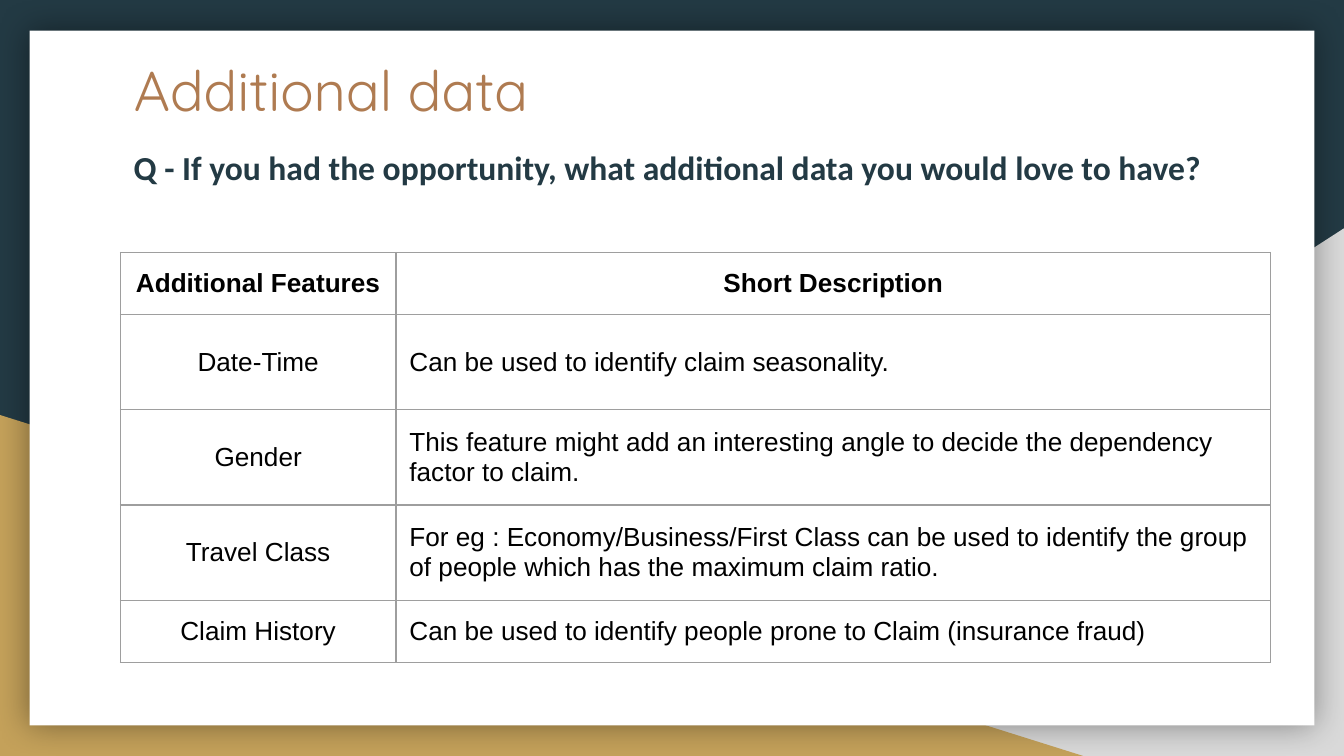
"""Build the "Additional data" slide with its table of wished-for features."""
from lxml import etree
from pptx import Presentation
from pptx.dml.color import RGBColor
from pptx.enum.shapes import MSO_SHAPE
from pptx.enum.text import MSO_ANCHOR, MSO_AUTO_SIZE, PP_ALIGN
from pptx.oxml import parse_xml
from pptx.oxml.ns import nsdecls, qn
from pptx.util import Inches, Pt

TRIANGLE, RECTANGLE = MSO_SHAPE.RIGHT_TRIANGLE, MSO_SHAPE.RECTANGLE
TOP, MIDDLE = MSO_ANCHOR.TOP, MSO_ANCHOR.MIDDLE
LEFT, CENTER = PP_ALIGN.LEFT, PP_ALIGN.CENTER
NO_FIT = MSO_AUTO_SIZE.NONE
COLORS = {
    "navy": "233A44", "gray": "D9D9D9", "gold": "C4A15A", "white": "FFFFFF",
    "copper": "AF7B51", "black": "000000", "border": "9E9E9E",
}
FEATURES = [
    ("Additional Features", "Short Description"),
    ("Date-Time", "Can be used to identify claim seasonality."),
    ("Gender", "This feature might add an interesting angle to decide the dependency factor to claim."),
    ("Travel Class", "For eg : Economy/Business/First Class can be used to identify the group "
                     "of people which has the maximum claim ratio."),
    ("Claim History", "Can be used to identify people prone to Claim (insurance fraud)"),
]

deck = Presentation()
deck.slide_width = Inches(10)
deck.slide_height = deck.slide_width * 9 // 16
COLUMN, ROW = deck.slide_width / 100, deck.slide_height / 100
MARGIN = Inches(0.1)


def grid(left, top, width, height):
    """Turn percentages of the slide into a position and a size."""
    return int(left * COLUMN), int(top * ROW), int(width * COLUMN), int(height * ROW)


def write(frame, text, font, size, color, bold=False, align=LEFT):
    """Put one formatted run into the first paragraph of a frame."""
    para = frame.paragraphs[0]
    para.alignment = align
    span = para.add_run()
    span.text = text
    span.font.name, span.font.size, span.font.bold = font, Pt(size), bold
    span.font.color.rgb = RGBColor.from_string(COLORS[color])


page = deck.slides.add_slide(deck.slide_layouts[5])
page.background.fill.solid()
page.background.fill.fore_color.rgb = RGBColor.from_string(COLORS["navy"])

backdrop = []
for kind, color, place in [
    (TRIANGLE, "gray", (39.2, 30.2, 60.8, 69.8)),
    (TRIANGLE, "gold", (0, 54.9, 80.6, 45.1)),
    (RECTANGLE, "white", (2.2, 4.05, 95.6, 91.9)),
]:
    shape = page.shapes.add_shape(kind, *grid(*place))
    shape.shadow.inherit = False
    shape.fill.solid()
    shape.fill.fore_color.rgb = RGBColor.from_string(COLORS[color])
    shape.line.fill.background()
    backdrop.append(shape)

corner, wedge, panel = backdrop
corner._element.spPr.find(qn("a:xfrm")).set("flipH", "1")
effects = panel._element.spPr.find(qn("a:effectLst"))
effects.append(parse_xml(
    f'<a:outerShdw {nsdecls("a")} blurRad="{Pt(18)}" dist="0" dir="0" algn="ctr" rotWithShape="0">'
    f'<a:srgbClr val="{COLORS["black"]}"><a:alpha val="40000"/></a:srgbClr></a:outerShdw>'))

title = page.shapes.title
page.shapes._spTree.append(title._element)
title.left, title.top, title.width, title.height = grid(8.96, 5.5, 82.1, 12.1)
question = page.shapes.add_textbox(*grid(8.96, 17.6, 82.1, 76.4))
for box in (title, question):
    frame = box.text_frame
    frame.word_wrap, frame.auto_size, frame.vertical_anchor = True, NO_FIT, TOP
    frame.margin_left = frame.margin_right = frame.margin_top = frame.margin_bottom = MARGIN
write(title.text_frame, "Additional data", "Quicksand", 30, "copper")
write(question.text_frame,
      "Q - If you had the opportunity, what additional data you would love to have?",
      "Calibri", 18, "navy", bold=True)
question.text_frame.paragraphs[0].space_before = Pt(16)

table = page.shapes.add_table(len(FEATURES), 2, *grid(8.96, 33.4, 85.6, 54.2)).table
table.first_row = table.horz_banding = False
for column, share in zip(table.columns, (20.5, 65.1)):
    column.width = int(share * COLUMN)
for row, share in zip(table.rows, (8.2, 12.6, 12.6, 12.6, 8.2)):
    row.height = int(share * ROW)

for row_index, texts in enumerate(FEATURES):
    for column_index, text in enumerate(texts):
        cell = table.cell(row_index, column_index)
        header = row_index == 0
        cell.vertical_anchor = MIDDLE
        cell.margin_left = cell.margin_right = cell.margin_top = cell.margin_bottom = MARGIN
        write(cell.text_frame, text, "Arial", 14, "black", bold=header,
              align=CENTER if header or column_index == 0 else LEFT)
        properties = cell._tc.get_or_add_tcPr()
        for side in ("lnL", "lnR", "lnT", "lnB"):
            border = etree.SubElement(properties, qn(f"a:{side}"), w=str(Pt(0.75)))
            fill = etree.SubElement(border, qn("a:solidFill"))
            etree.SubElement(fill, qn("a:srgbClr"), val=COLORS["border"])
        cell.fill.background()

deck.save("out.pptx")
